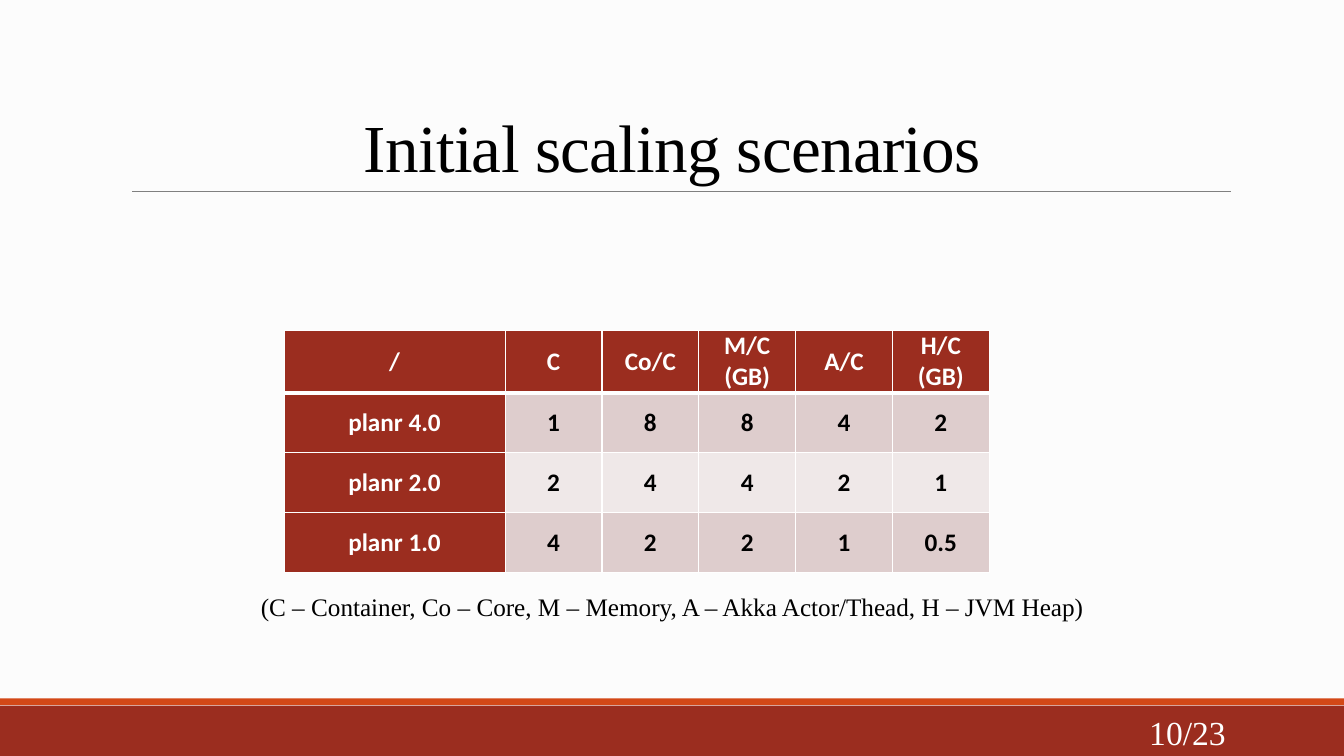
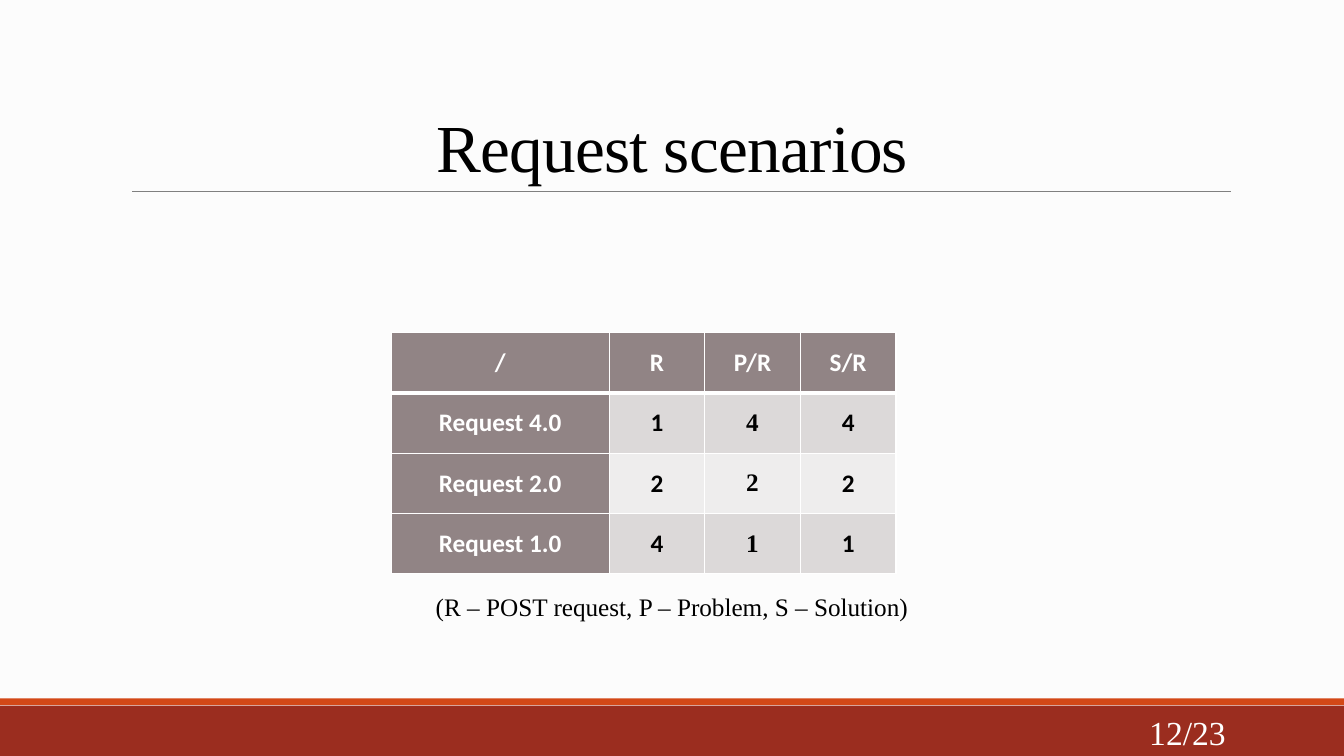
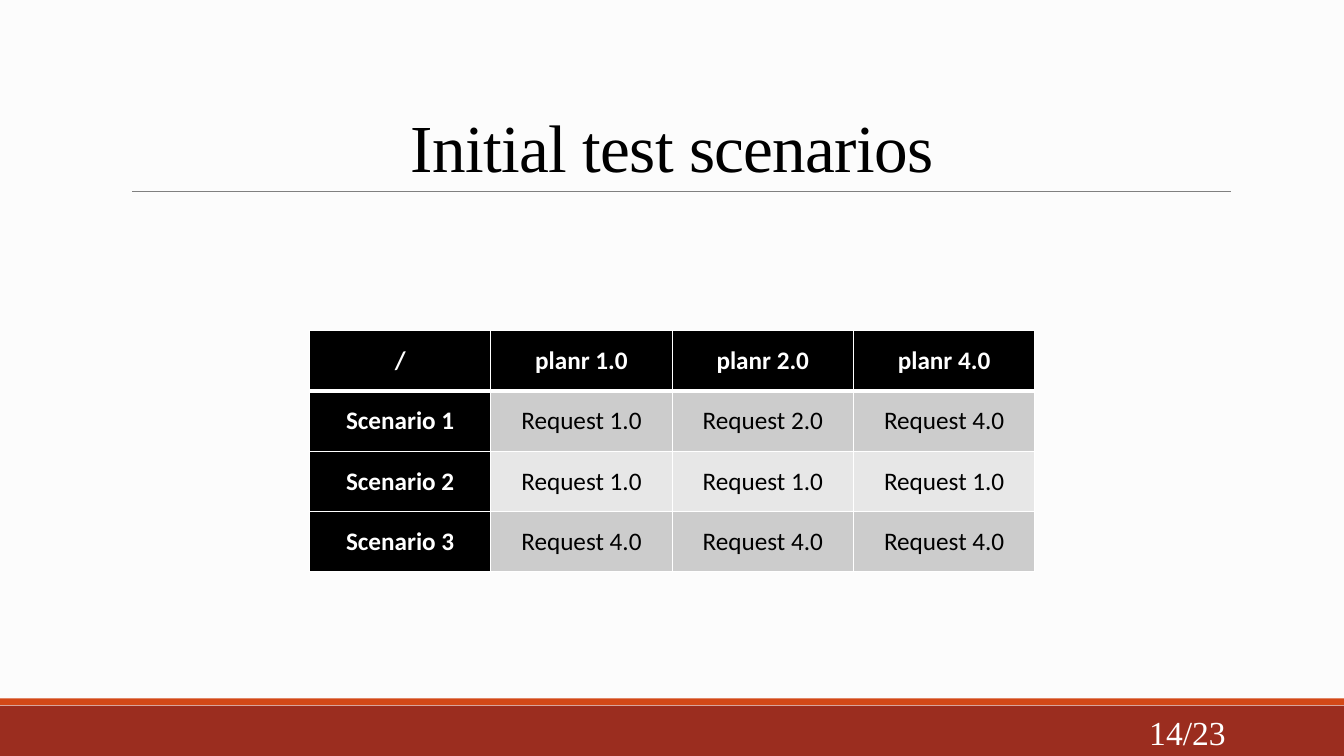
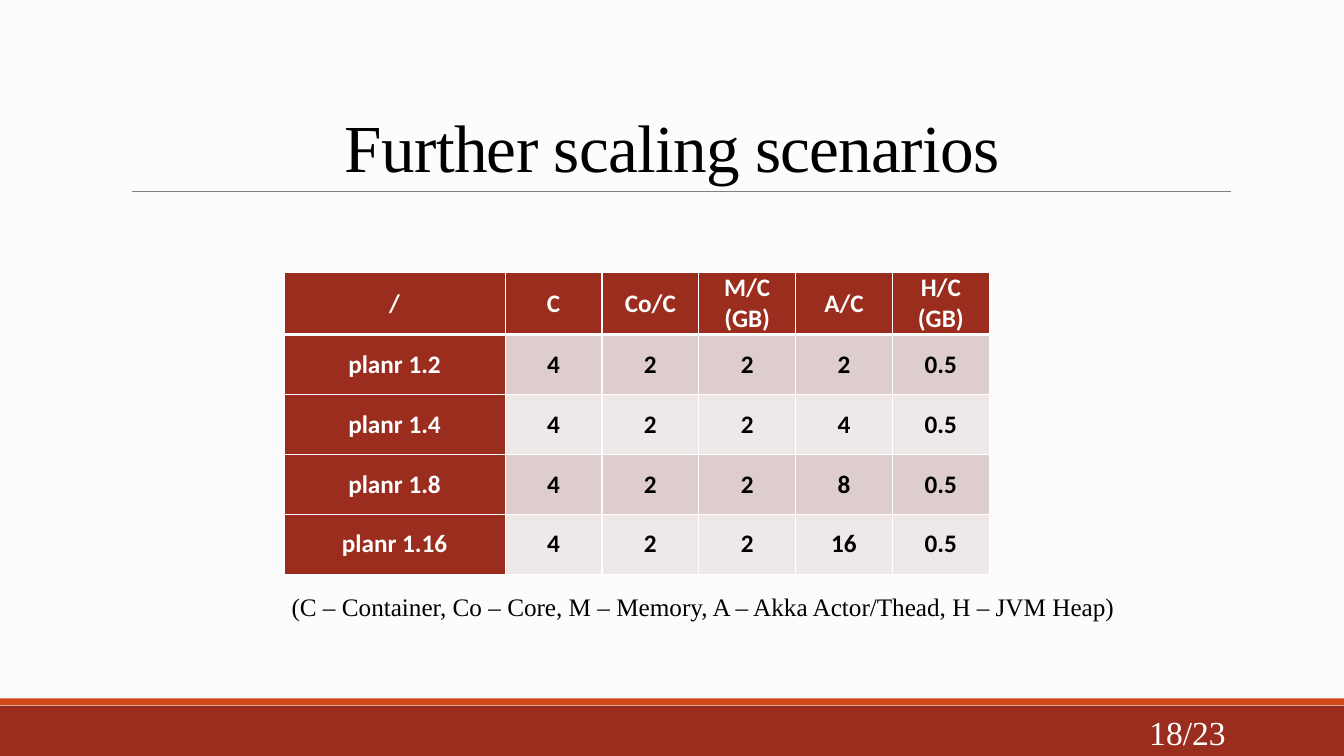
from dataclasses import dataclass

from pptx import Presentation
from pptx import util as u
from pptx.dml import color
from pptx.enum import shapes, text
from pptx.oxml import parse_xml
from pptx.oxml import ns
from pptx.util import Cm

# Shared look
SLIDE_WIDTH, SLIDE_HEIGHT = 33.87, 19.05
SERIF, SANS = "Times New Roman", "Calibri"
BLACK, WHITE, PAPER, RULE = "000000", "FFFFFF", "FCFCFC", "808080"
BRICK, ORANGE = "9B2D1F", "D34817"
PAGE_COUNT = 23

# Positions as left, top, width, height in centimetres
TITLE_BOX = (2.97, 0.79, 27.94, 4.04)
PAGE_BOX = (27.51, 17.93, 3.63, 1.02)
BANDS = [((0, 17.78, SLIDE_WIDTH, 1.27), BRICK),
         ((0, 17.6, SLIDE_WIDTH, 0.17), ORANGE)]
RULE_LEFT, RULE_RIGHT, RULE_TOP = 3.33, 31.01, 4.83
CAPTION_TOP, CAPTION_HEIGHT = 14.78, 1.02


@dataclass
class TableStyle:
    """Header fill, alternating row fills, column widths and row heights."""
    header: str
    bands: tuple
    first_column: float
    other_columns: float
    header_row: float = 1.52
    other_rows: float = 1.52
    bold_values: bool = True
    serif_columns: tuple = ()


SCALING_STYLE = TableStyle(BRICK, ("DECDCD", "EFE8E8"), 5.57, 2.44, 1.57, 1.51)
REQUEST_STYLE = TableStyle("918485", ("DCD9D9", "EEEDED"), 5.49, 2.41,
                           serif_columns=(2,))
TEST_STYLE = TableStyle(BLACK, ("CCCCCC", "E7E7E7"), 4.57, 4.57,
                        bold_values=False)

SCALING_HEADER = ["/", "C", "Co/C", "M/C (GB)", "A/C", "H/C (GB)"]
SCALING_CAPTION = ("(C – Container, Co – Core, M – Memory, "
                   "A – Akka Actor/Thead, H – JVM Heap)")


def rgb(value):
    return color.RGBColor.from_string(value)


def lengths(box):
    return [Cm(value) for value in box]


def format_paragraph(paragraph, size, font_name, font_color, align, bold=False):
    paragraph.alignment = align
    font = paragraph.font
    font.size, font.name, font.bold = u.Pt(size), font_name, bold
    font.color.rgb = rgb(font_color)


def add_text(slide, box, content, size, font_color, align):
    """Add a wrapped text box with one serif paragraph."""
    shape = slide.shapes.add_textbox(*lengths(box))
    frame = shape.text_frame
    frame.word_wrap = True
    frame.text = content
    format_paragraph(frame.paragraphs[0], size, SERIF, font_color, align)
    return frame


def add_frame(slide):
    """Add the bottom bands and the rule under the title."""
    for box, fill in BANDS:
        band = slide.shapes.add_shape(shapes.MSO_SHAPE.RECTANGLE, *lengths(box))
        band.shadow.inherit = False
        band.fill.solid()
        band.fill.fore_color.rgb = rgb(fill)
        band.line.fill.background()
    rule = slide.shapes.add_connector(
        shapes.MSO_CONNECTOR.STRAIGHT,
        *lengths((RULE_LEFT, RULE_TOP, RULE_RIGHT, RULE_TOP)))
    rule.line.color.rgb = rgb(RULE)
    rule.line.width = u.Pt(0.5)
    rule._element.spPr.append(
        parse_xml(f"<a:effectLst {ns.nsdecls('a')}/>"))


def set_title(slide, content):
    title = slide.shapes.title
    title.left, title.top, title.width, title.height = lengths(TITLE_BOX)
    frame = title.text_frame
    frame.text = content
    frame.vertical_anchor = text.MSO_ANCHOR.BOTTOM
    paragraph = frame.paragraphs[0]
    paragraph.line_spacing = 0.85
    format_paragraph(paragraph, 48, SERIF, BLACK, text.PP_ALIGN.CENTER)
    # Slightly tightened letters
    paragraph.runs[0].font._element.set("spc", "-50")


def add_page_number(slide, number):
    frame = add_text(slide, PAGE_BOX, f"{number}/{PAGE_COUNT}", 24, WHITE,
                     text.PP_ALIGN.RIGHT)
    frame.vertical_anchor = text.MSO_ANCHOR.MIDDLE


def add_caption(slide, left, width, content):
    frame = add_text(slide, (left, CAPTION_TOP, width, CAPTION_HEIGHT), content,
                     18, BLACK, text.PP_ALIGN.CENTER)
    frame.auto_size = text.MSO_AUTO_SIZE.SHAPE_TO_FIT_TEXT
    paragraph = frame.paragraphs[0]
    paragraph.space_before = paragraph.space_after = u.Pt(6)


def set_borders(cell, top, bottom):
    """Draw white borders; widths in points, sides always 1."""
    properties = cell._tc.get_or_add_tcPr()
    for side, width in (("L", 1), ("R", 1), ("T", top), ("B", bottom)):
        properties.append(parse_xml(
            f'<a:ln{side} {ns.nsdecls("a")} w="{u.Pt(width)}"><a:solidFill>'
            f'<a:srgbClr val="{WHITE}"/></a:solidFill></a:ln{side}>'))


def format_cell(cell, row, column, style):
    is_header = row == 0 or column == 0
    set_borders(cell, 3 if row == 1 else 1, 3 if row == 0 else 1)
    cell.fill.solid()
    cell.fill.fore_color.rgb = rgb(
        style.header if is_header else style.bands[(row - 1) % 2])
    cell.vertical_anchor = text.MSO_ANCHOR.MIDDLE
    cell.margin_left = cell.margin_right = Cm(0.18)
    cell.margin_top = cell.margin_bottom = 0
    serif = not is_header and column in style.serif_columns
    format_paragraph(cell.text_frame.paragraphs[0], 18,
                     SERIF if serif else SANS,
                     WHITE if is_header else BLACK,
                     text.PP_ALIGN.CENTER, is_header or style.bold_values)


def add_scenario_table(slide, left, top, rows, style):
    widths = [style.first_column] + [style.other_columns] * (len(rows[0]) - 1)
    heights = [style.header_row] + [style.other_rows] * (len(rows) - 1)
    table = slide.shapes.add_table(
        len(rows), len(widths),
        *lengths((left, top, sum(widths), sum(heights)))).table
    for column, width in zip(table.columns, widths):
        column.width = Cm(width)
    for row, height in zip(table.rows, heights):
        row.height = Cm(height)
    for r, values in enumerate(rows):
        for c, value in enumerate(values):
            cell = table.cell(r, c)
            cell.text = value
            format_cell(cell, r, c, style)


def add_scenario_slide(presentation, title, page, corner, rows, style,
                       caption=None):
    """Build a slide; caption is (left, width, text)."""
    slide = presentation.slides.add_slide(presentation.slide_layouts[5])
    add_frame(slide)
    set_title(slide, title)
    add_page_number(slide, page)
    add_scenario_table(slide, *corner, rows, style)
    if caption:
        add_caption(slide, *caption)


def main():
    presentation = Presentation()
    presentation.slide_width = Cm(SLIDE_WIDTH)
    presentation.slide_height = Cm(SLIDE_HEIGHT)
    background = presentation.slide_master.background.fill
    background.solid()
    background.fore_color.rgb = rgb(PAPER)

    add_scenario_slide(
        presentation, "Initial scaling scenarios", 10, (7.16, 8.33),
        [SCALING_HEADER,
         ["planr 4.0", "1", "8", "8", "4", "2"],
         ["planr 2.0", "2", "4", "4", "2", "1"],
         ["planr 1.0", "4", "2", "2", "1", "0.5"]],
        SCALING_STYLE, (6.15, 21.59, SCALING_CAPTION))

    add_scenario_slide(
        presentation, "Request scenarios", 12, (9.86, 8.38),
        [["/", "R", "P/R", "S/R"],
         ["Request 4.0", "1", "4", "4"],
         ["Request 2.0", "2", "2", "2"],
         ["Request 1.0", "4", "1", "1"]],
        REQUEST_STYLE,
        (6.76, 20.35, "(R – POST request, P – Problem, S – Solution)"))

    add_scenario_slide(
        presentation, "Initial test scenarios", 14, (7.8, 8.33),
        [["/", "planr 1.0", "planr 2.0", "planr 4.0"],
         ["Scenario 1", "Request 1.0", "Request 2.0", "Request 4.0"],
         ["Scenario 2"] + ["Request 1.0"] * 3,
         ["Scenario 3"] + ["Request 4.0"] * 3],
        TEST_STYLE)

    add_scenario_slide(
        presentation, "Further scaling scenarios", 18, (7.16, 6.86),
        [SCALING_HEADER] + [
            [f"planr 1.{actors}", "4", "2", "2", str(actors), "0.5"]
            for actors in (2, 4, 8, 16)],
        SCALING_STYLE, (6.76, 21.92, SCALING_CAPTION))

    presentation.save("out.pptx")


if __name__ == "__main__":
    main()
